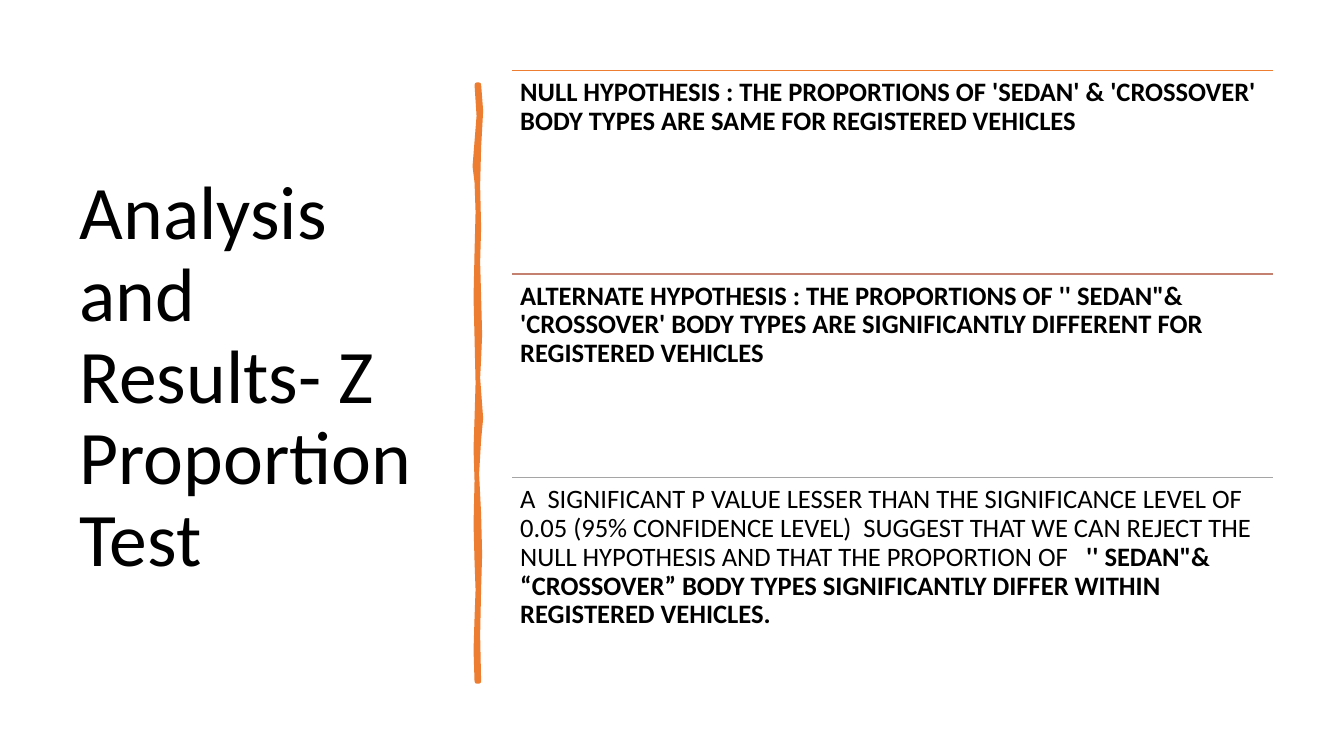
from dataclasses import dataclass
from lxml.etree import SubElement
from pptx import Presentation
from pptx.dml.color import RGBColor
from pptx.enum.shapes import MSO_CONNECTOR
from pptx.enum.text import MSO_ANCHOR, MSO_AUTO_SIZE, PP_ALIGN
from pptx.oxml.ns import qn
from pptx.util import Pt

PX = 9144


@dataclass(frozen=True)
class Theme:
    font: str = "Calibri"
    ink: str = "000000"
    accent: str = "ED7D31"
    rules: tuple = ("ED7D31", "C48170", "A5A5A5")
    title: int = 54
    body: int = 19
    stroke: float = 3.25
    rule: int = 1
    leading: float = 0.9


THEME = Theme()

TITLE = "Analysis and Results- Z  Proportion Test"
POINTS = [
    [("NULL HYPOTHESIS : THE PROPORTIONS OF 'SEDAN' & 'CROSSOVER' "
      "BODY TYPES ARE SAME FOR REGISTERED VEHICLES", True)],
    [("ALTERNATE HYPOTHESIS : THE PROPORTIONS OF '' SEDAN\"& 'CROSSOVER' "
      "BODY TYPES ARE SIGNIFICANTLY DIFFERENT FOR REGISTERED VEHICLES", True)],
    [("A  SIGNIFICANT P VALUE LESSER THAN THE SIGNIFICANCE LEVEL OF 0.05 "
      "(95% CONFIDENCE LEVEL)  SUGGEST THAT WE CAN REJECT THE NULL HYPOTHESIS "
      "AND THAT THE PROPORTION OF   ", False),
     ("'' SEDAN\"& “CROSSOVER” BODY TYPES SIGNIFICANTLY DIFFER WITHIN "
      "REGISTERED VEHICLES.", True)],
]
STROKE = [
    (2, 0), (4, 26), (2, 62), (1, 100), (2, 142), (1, 176), (2, 210),
    (3, 248), (2, 272), (1, 291), (4, 331), (2, 352), (0, 386), (2, 426),
    (3, 466), (2, 500), (1, 546), (2, 592), (0, 592), (-1, 561), (0, 529),
    (1, 501), (0, 473), (-1, 436), (0, 393), (-1, 361), (0, 331), (1, 296),
    (0, 251), (-1, 211), (0, 166), (1, 126), (0, 97), (-2, 81), (2, 31),
    (0, 0),
]


def paint(run, size, bold=False):
    font = run.font
    font.name = THEME.font
    font.size = Pt(size)
    font.bold = bold
    font.color.rgb = RGBColor.from_string(THEME.ink)


def add_title(slide, left, top, width, height):
    title = slide.shapes.title
    title.left, title.top = left * PX, top * PX
    title.width, title.height = width * PX, height * PX
    frame = title.text_frame
    frame.text = TITLE
    frame.word_wrap = True
    frame.auto_size = MSO_AUTO_SIZE.NONE
    frame.vertical_anchor = MSO_ANCHOR.MIDDLE
    para = frame.paragraphs[0]
    para.alignment = PP_ALIGN.LEFT
    para.line_spacing = THEME.leading
    paint(para.runs[0], THEME.title)


def add_stroke(slide, left, top):
    dots = [(left + x, top + y) for x, y in STROKE]
    pen = slide.shapes.build_freeform(*dots[0], scale=PX)
    pen.add_line_segments(dots[1:], close=True)
    shape = pen.convert_to_shape()
    shape.shadow.inherit = False
    color = RGBColor.from_string(THEME.accent)
    shape.fill.solid()
    shape.fill.fore_color.rgb = color
    shape.line.color.rgb = color
    shape.line.width = Pt(THEME.stroke)


def add_point(slide, left, top, width, height, parts, color):
    rule = slide.shapes.add_connector(
        MSO_CONNECTOR.STRAIGHT,
        left * PX, top * PX, (left + width) * PX, top * PX)
    rule.line.color.rgb = RGBColor.from_string(color)
    rule.line.width = Pt(THEME.rule)
    SubElement(rule.element.spPr, qn("a:effectLst"))

    box = slide.shapes.add_textbox(
        left * PX, top * PX, width * PX, height * PX)
    frame = box.text_frame
    frame.word_wrap = True
    frame.margin_left = frame.margin_right = 8 * PX
    frame.margin_top = frame.margin_bottom = 8 * PX
    para = frame.paragraphs[0]
    para.line_spacing = THEME.leading
    for text, bold in parts:
        run = para.add_run()
        run.text = text
        paint(run, THEME.body, bold)


def add_list(slide, left, top, width, height):
    step = height // len(POINTS)
    for row, (parts, color) in enumerate(zip(POINTS, THEME.rules)):
        add_point(slide, left, top + row * step, width, step, parts, color)


def main():
    deck = Presentation()
    deck.slide_width, deck.slide_height = 1333 * PX, 750 * PX
    slide = deck.slides.add_slide(deck.slide_layouts.get_by_name("Title Only"))
    add_title(slide, 69, 70, 374, 611)
    add_stroke(slide, 473, 84)
    add_list(slide, 508, 70, 755, 606)
    deck.save("out.pptx")


if __name__ == "__main__":
    main()
